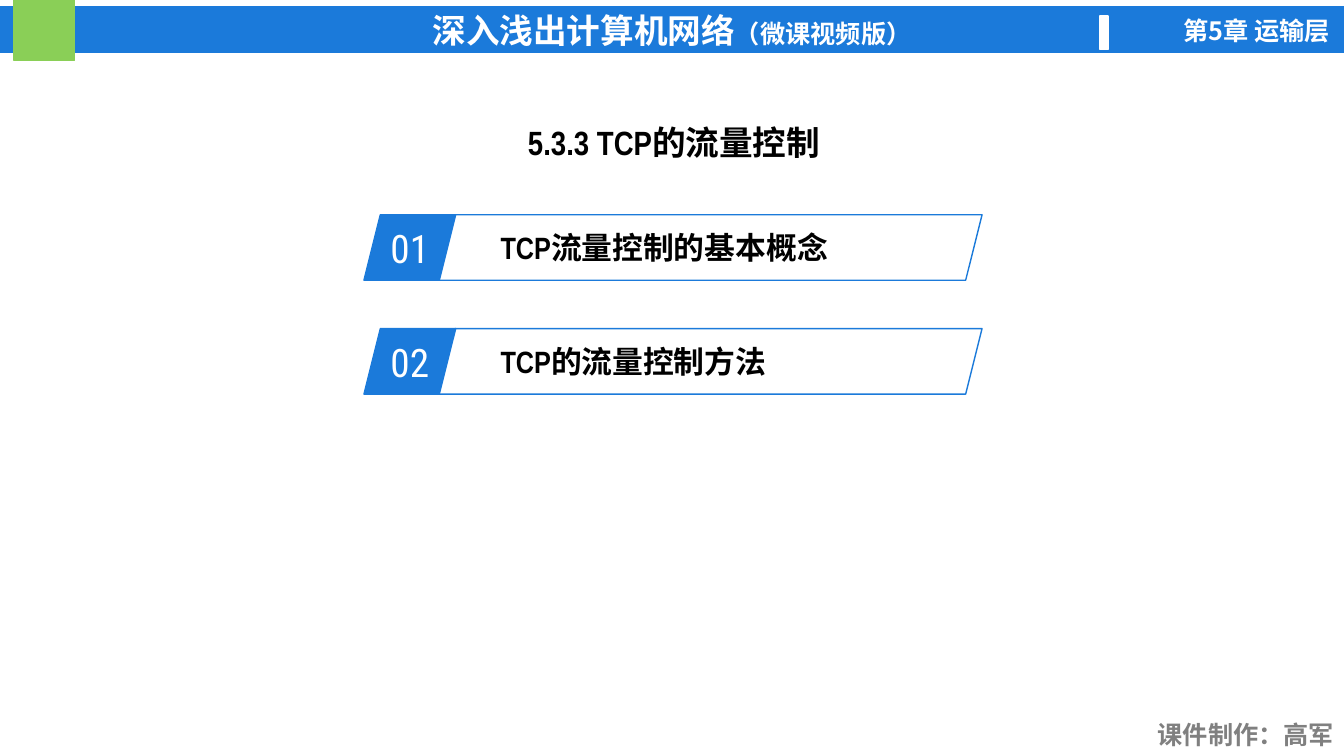
from pptx import Presentation
from pptx.dml.color import RGBColor
from pptx.enum.shapes import MSO_SHAPE
from pptx.enum.text import MSO_ANCHOR, PP_ALIGN
from pptx.util import Inches, Pt
from lxml.etree import SubElement
from pptx.oxml.ns import qn

COLORS = {
    "blue": "1B7ADA",
    "green": "8ACF57",
    "white": "FFFFFF",
    "black": "000000",
    "gray": "808080",
}
LATIN = "Arial Narrow"
CHINESE = "Noto Sans CJK SC"
NUMERALS = "Roboto Condensed"
TOPICS = ["TCP流量控制的基本概念", "TCP的流量控制方法"]


class SlideBuilder:
    def __init__(self, page):
        self.page = page

    def color(self, name):
        return RGBColor.from_string(COLORS[name])

    def add_text(self, box, spans, color, align=PP_ALIGN.LEFT,
                 anchor=MSO_ANCHOR.MIDDLE, font=LATIN, bold=True):
        """Fill one paragraph from (text, point size) spans."""
        frame = box.text_frame
        frame.word_wrap = True
        frame.vertical_anchor = anchor
        para = frame.paragraphs[0]
        para.alignment = align
        for text, size in spans:
            span = para.add_run()
            span.text = text
            span.font.size = Pt(size)
            span.font.bold = bold
            span.font.color.rgb = self.color(color)
            span.font.name = font
            properties = span._r.get_or_add_rPr()
            SubElement(properties, qn("a:ea")).set("typeface", CHINESE)

    def shape(self, kind, left, top, width, height, line, fill=None):
        box = self.page.shapes.add_shape(
            kind, Inches(left), Inches(top), Inches(width), Inches(height))
        box.shadow.inherit = False
        if fill:
            box.fill.solid()
            box.fill.fore_color.rgb = self.color(fill)
        else:
            box.fill.background()
        box.line.color.rgb = self.color(line)
        box.line.width = Pt(1)
        return box

    def label(self, left, top, width, text, color, font):
        box = self.page.shapes.add_textbox(
            Inches(left), Inches(top), Inches(width), Inches(0.4))
        self.add_text(box, [(text, 18)], color, PP_ALIGN.RIGHT,
                      MSO_ANCHOR.TOP, font)

    def title(self, text):
        box = self.page.shapes.title
        box.left, box.top = Inches(4.34), Inches(1.18)
        box.width, box.height = Inches(4.69), Inches(0.46)
        self.add_text(box, [(text, 24)], "black", PP_ALIGN.CENTER)

    def header(self):
        bar = self.shape(MSO_SHAPE.RECTANGLE, 0, 0.07, 13.33, 0.45, "blue", "blue")
        self.add_text(bar, [("深入浅出计算机网络", 24), ("（微课视频版）", 18)],
                      "white", PP_ALIGN.CENTER)
        self.shape(MSO_SHAPE.RECTANGLE, 0.14, 0, 0.6, 0.6, "green", "green")
        self.shape(MSO_SHAPE.RECTANGLE, 10.91, 0.16, 0.08, 0.33, "white", "white")
        self.label(11.11, 0.1, 2.18, "第5章 运输层", "white", CHINESE)

    def topic(self, number, text, top):
        badge = self.shape(MSO_SHAPE.PARALLELOGRAM, 3.61, top, 0.91, 0.65,
                           "blue", "blue")
        self.add_text(badge, [(f"{number:02d}", 28)], "white", PP_ALIGN.CENTER,
                      font=NUMERALS, bold=False)
        # The narrow badge leaves little room for its digits.
        badge.text_frame.margin_left = badge.text_frame.margin_right = 0
        badge.text_frame.word_wrap = False
        panel = self.shape(MSO_SHAPE.PARALLELOGRAM, 4.35, top, 5.39, 0.65, "blue")
        self.add_text(panel, [(text, 22)], "black")


def main():
    deck = Presentation()
    deck.slide_width, deck.slide_height = Inches(13.33), Inches(7.5)
    builder = SlideBuilder(deck.slides.add_slide(deck.slide_layouts[5]))
    builder.header()
    builder.label(11.34, 7.09, 1.99, "课件制作：高军", "gray", LATIN)
    builder.title("5.3.3 TCP的流量控制")
    for index, text in enumerate(TOPICS):
        builder.topic(index + 1, text, 2.13 + index * 1.13)
    deck.save("out.pptx")


if __name__ == "__main__":
    main()
